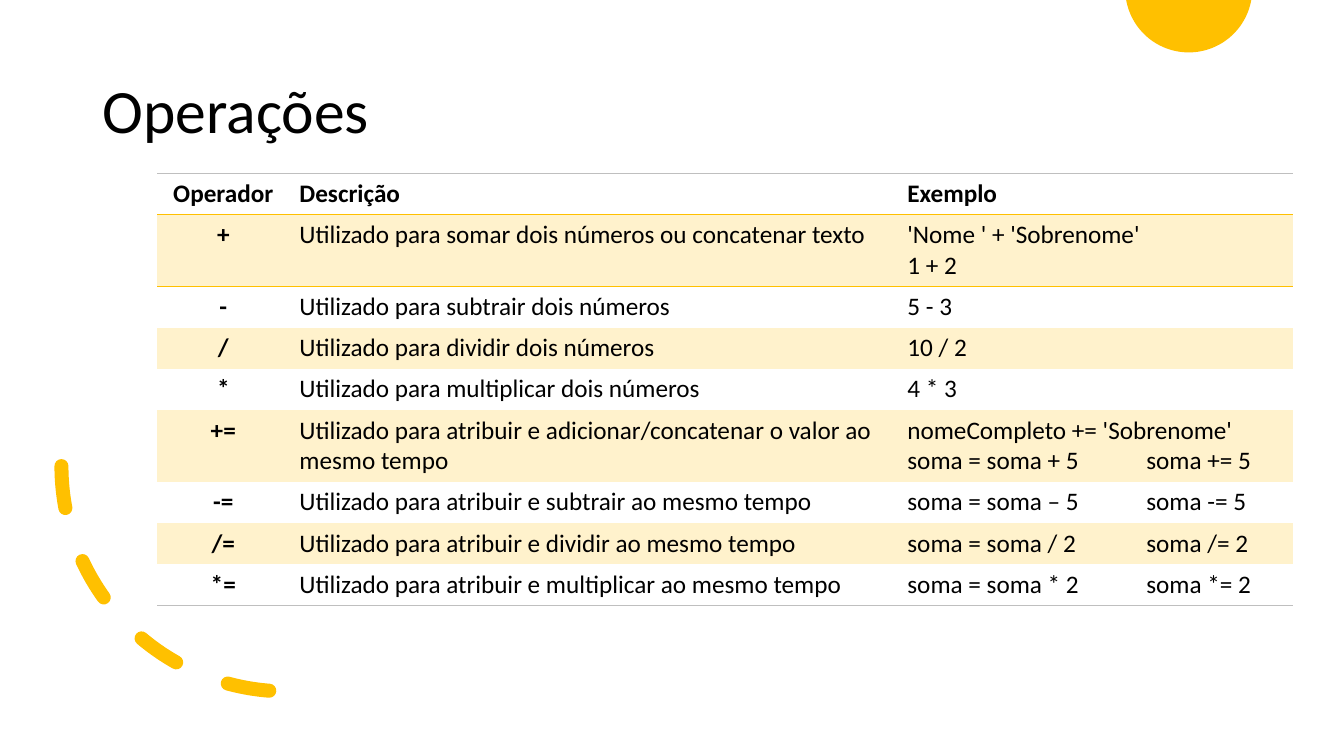
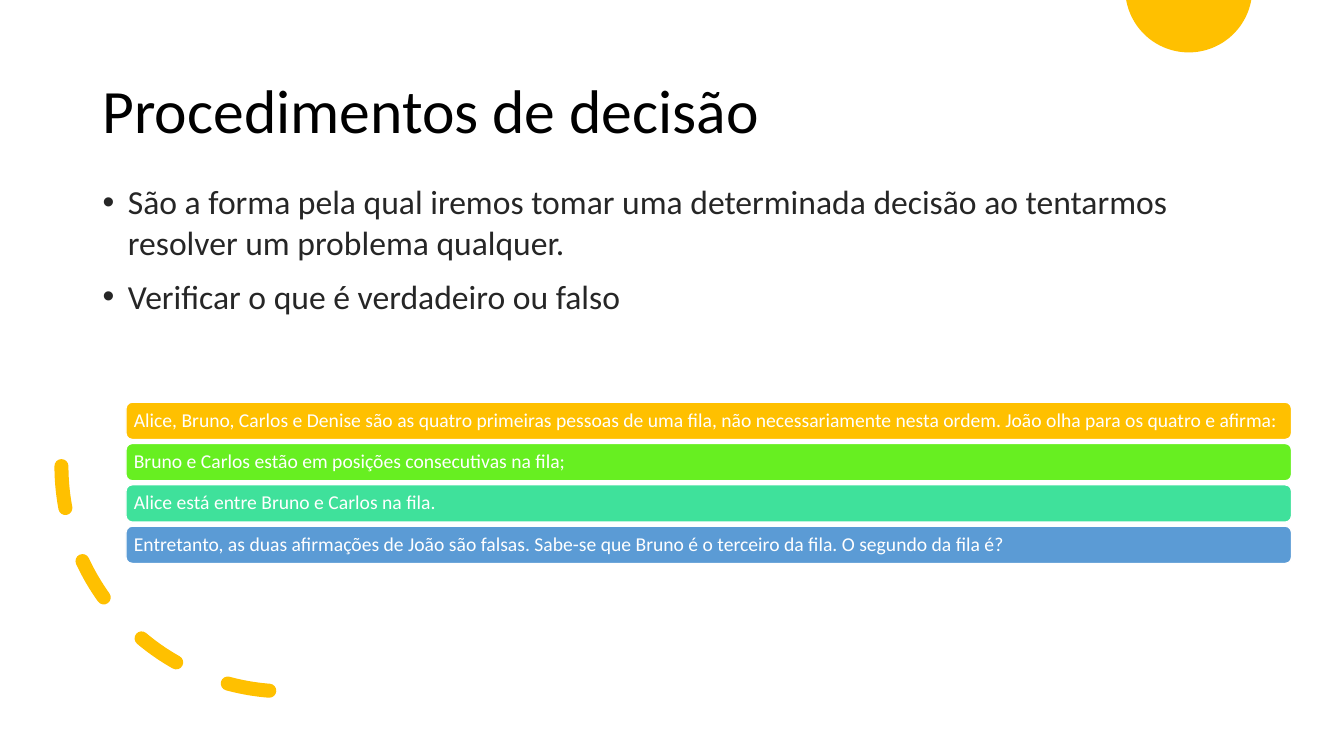
import math
from dataclasses import dataclass

from pptx import Presentation
from pptx.dml.color import RGBColor
from pptx.enum import dml, shapes, text
from pptx.oxml import parse_xml
from pptx.oxml.ns import nsdecls
from pptx.util import Inches, Pt


@dataclass(frozen=True)
class Theme:
    font: str = "Calibri"
    gold: str = "FFC000"
    band: str = "FFF2CC"
    rule: str = "BFBFBF"
    black: str = "000000"
    ink: str = "262626"
    white: str = "FFFFFF"
    bars: tuple = ("FFC000", "67EF21", "3FE19B", "5B9BD5")
    title: int = 44
    body: int = 24
    table: int = 18
    bar: int = 14


THEME = Theme()
PLAIN_GRID = "{2D5ABB26-0587-4C30-8999-92F81FD0307C}"
HEADS = ("Operador", "Descrição", "Exemplo")
ROWS = (
    ("+", "Utilizado para somar dois números ou concatenar texto",
     "'Nome ' + 'Sobrenome'\n1 + 2"),
    ("-", "Utilizado para subtrair dois números", "5 - 3"),
    ("/", "Utilizado para dividir dois números", "10 / 2"),
    ("*", "Utilizado para multiplicar dois números", "4 * 3"),
    ("+=", "Utilizado para atribuir e adicionar/concatenar o valor ao mesmo tempo",
     "nomeCompleto += 'Sobrenome'\nsoma = soma + 5\tsoma += 5"),
    ("-=", "Utilizado para atribuir e subtrair ao mesmo tempo",
     "soma = soma – 5\tsoma -= 5"),
    ("/=", "Utilizado para atribuir e dividir ao mesmo tempo",
     "soma = soma / 2\tsoma /= 2"),
    ("*=", "Utilizado para atribuir e multiplicar ao mesmo tempo",
     "soma = soma * 2\tsoma *= 2"),
)
POINTS = (
    "São a forma pela qual iremos tomar uma determinada decisão ao "
    "tentarmos resolver um problema qualquer.",
    "Verificar o que é verdadeiro ou falso",
)
CLAIMS = (
    "Alice, Bruno, Carlos e Denise são as quatro primeiras pessoas de uma fila, "
    "não necessariamente nesta ordem. João olha para os quatro e afirma:",
    "Bruno e Carlos estão em posições consecutivas na fila;",
    "Alice está entre Bruno e Carlos na fila.",
    "Entretanto, as duas afirmações de João são falsas. "
    "Sabe-se que Bruno é o terceiro da fila. O segundo da fila é?",
)


def apply(item, values):
    for name, value in values.items():
        setattr(item, name, value)


def paint(fill, color):
    fill.solid()
    fill.fore_color.rgb = RGBColor.from_string(color)


def box(left, top, width, height):
    return [Inches(n) for n in (left, top, width, height)]


def write(frame, lines, size, color, bold=False, look=None, marks=()):
    """Fill a text frame, one paragraph a line; marks are XML parts of each."""
    for i, line in enumerate(lines):
        para = frame.paragraphs[0] if i == 0 else frame.add_paragraph()
        for mark in marks:
            para._p.get_or_add_pPr().append(parse_xml(mark))
        apply(para, look or {})
        if i == 0:
            para.space_before = Pt(0)
        run = para.add_run()
        run.text = line
        apply(run.font, {"name": THEME.font, "size": Pt(size), "bold": bold})
        run.font.color.rgb = RGBColor.from_string(color)


def add_disc(slide, mid, drop, radius):
    """Draw the part of a disc that hangs below the top edge."""
    rise = radius - drop
    start = math.asin(rise / radius)
    sweep = math.pi - 2 * start
    steps = 60
    spots = []
    for i in range(steps + 1):
        turn = start + sweep * i / steps
        spots.append((Inches(mid + radius * math.cos(turn)),
                      max(0, Inches(radius * math.sin(turn) - rise))))
    pen = slide.shapes.build_freeform(*spots[0])
    pen.add_line_segments(spots[1:], close=True)
    disc = pen.convert_to_shape()
    disc.shadow.inherit = False
    paint(disc.fill, THEME.gold)
    disc.line.fill.background()


def add_arc(slide, place):
    arc = slide.shapes.add_shape(shapes.MSO_SHAPE.ARC, *box(*place))
    arc.shadow.inherit = False
    arc.rotation = 90
    arc.element.spPr.xfrm.set("flipV", "1")
    arc.fill.background()
    paint(arc.line.fill, THEME.gold)
    apply(arc.line, {"width": Pt(10), "dash_style": dml.MSO_LINE.DASH})
    arc.element.spPr.xpath("a:ln")[0].set("cap", "rnd")


def add_base(deck, title):
    """Add a slide with the shared title and ornaments."""
    slide = deck.slides.add_slide(deck.slide_layouts[6])
    add_disc(slide, 11.79, 0.52, 0.63)
    head = slide.shapes.add_textbox(*box(0.92, 0.4, 11.5, 1.45)).text_frame
    apply(head, {"word_wrap": True, "vertical_anchor": text.MSO_ANCHOR.MIDDLE})
    write(head, [title], THEME.title, THEME.black, look={"line_spacing": 0.9})
    add_arc(slide, (0.61, 2.39, 4.47, 4.47))
    return slide


def add_edge(cell, side, color):
    edge = parse_xml(
        f'<a:ln{side} {nsdecls("a")} w="12700"><a:solidFill>'
        f'<a:srgbClr val="{color}"/></a:solidFill></a:ln{side}>')
    props = cell._tc.get_or_add_tcPr()
    props.insert(len(props.xpath("a:lnT")), edge)


def add_grid(slide, left, top, widths):
    rows = (HEADS,) + ROWS
    tall = [0.71 if "\n" in row[2] or len(row[1]) > 60 else 0.41 for row in rows]
    frame = slide.shapes.add_table(
        len(rows), len(widths), *box(left, top, sum(widths), sum(tall)))
    frame.element.xpath(".//a:tableStyleId")[0].text = PLAIN_GRID
    grid = frame.table
    for col, width in zip(grid.columns, widths):
        col.width = Inches(width)
    tabs = (f'<a:tabLst {nsdecls("a")}><a:tab pos="{Inches(2.37)}" algn="l"/>'
            '</a:tabLst>')
    for r, row in enumerate(rows):
        grid.rows[r].height = Inches(tall[r])
        for c, words in enumerate(row):
            cell = grid.cell(r, c)
            align = text.PP_ALIGN.LEFT if c else text.PP_ALIGN.CENTER
            write(cell.text_frame, words.split("\n"), THEME.table, THEME.black,
                  bold=r == 0 or c == 0, look={"alignment": align},
                  marks=[tabs] if "\t" in words else ())
            if r % 2:
                paint(cell.fill, THEME.band)
            else:
                cell.fill.background()
            if r == 0:
                add_edge(cell, "T", THEME.rule)
                add_edge(cell, "B", THEME.gold)
            elif r == 1:
                add_edge(cell, "T", THEME.gold)
            elif r == len(rows) - 1:
                add_edge(cell, "B", THEME.rule)


def add_points(slide, place):
    frame = slide.shapes.add_textbox(*box(*place)).text_frame
    frame.word_wrap = True
    marks = [f'<a:buFont {nsdecls("a")} typeface="Arial"/>',
             f'<a:buChar {nsdecls("a")} char="•"/>']
    write(frame, POINTS, THEME.body, THEME.ink,
          look={"space_before": Pt(10)}, marks=marks)
    for para in frame.paragraphs:
        props = para._p.get_or_add_pPr()
        props.set("marL", str(Inches(0.25)))
        props.set("indent", str(-Inches(0.25)))


def add_bars(slide, left, top, width, height, pitch):
    for i, (claim, color) in enumerate(zip(CLAIMS, THEME.bars)):
        bar = slide.shapes.add_shape(
            shapes.MSO_SHAPE.ROUNDED_RECTANGLE,
            *box(left, top + i * pitch, width, height))
        bar.shadow.inherit = False
        paint(bar.fill, color)
        paint(bar.line.fill, THEME.white)
        bar.line.width = Pt(1)
        sides = ("left", "top", "right", "bottom")
        apply(bar.text_frame, {f"margin_{side}": Inches(0.06) for side in sides})
        apply(bar.text_frame, {"word_wrap": True,
                               "vertical_anchor": text.MSO_ANCHOR.MIDDLE})
        write(bar.text_frame, [claim], THEME.bar, THEME.white,
              look={"alignment": text.PP_ALIGN.LEFT, "line_spacing": 0.9})


def main():
    deck = Presentation()
    apply(deck, {"slide_width": Inches(13.33), "slide_height": Inches(7.5)})
    add_grid(add_base(deck, "Operações"), 1.56, 1.72, (1.31, 6.03, 3.92))
    slide = add_base(deck, "Procedimentos de decisão")
    add_points(slide, (0.92, 1.75, 11.49, 5.01))
    add_bars(slide, 1.25, 3.99, 11.56, 0.37, 0.41)
    deck.save("out.pptx")


if __name__ == "__main__":
    main()
